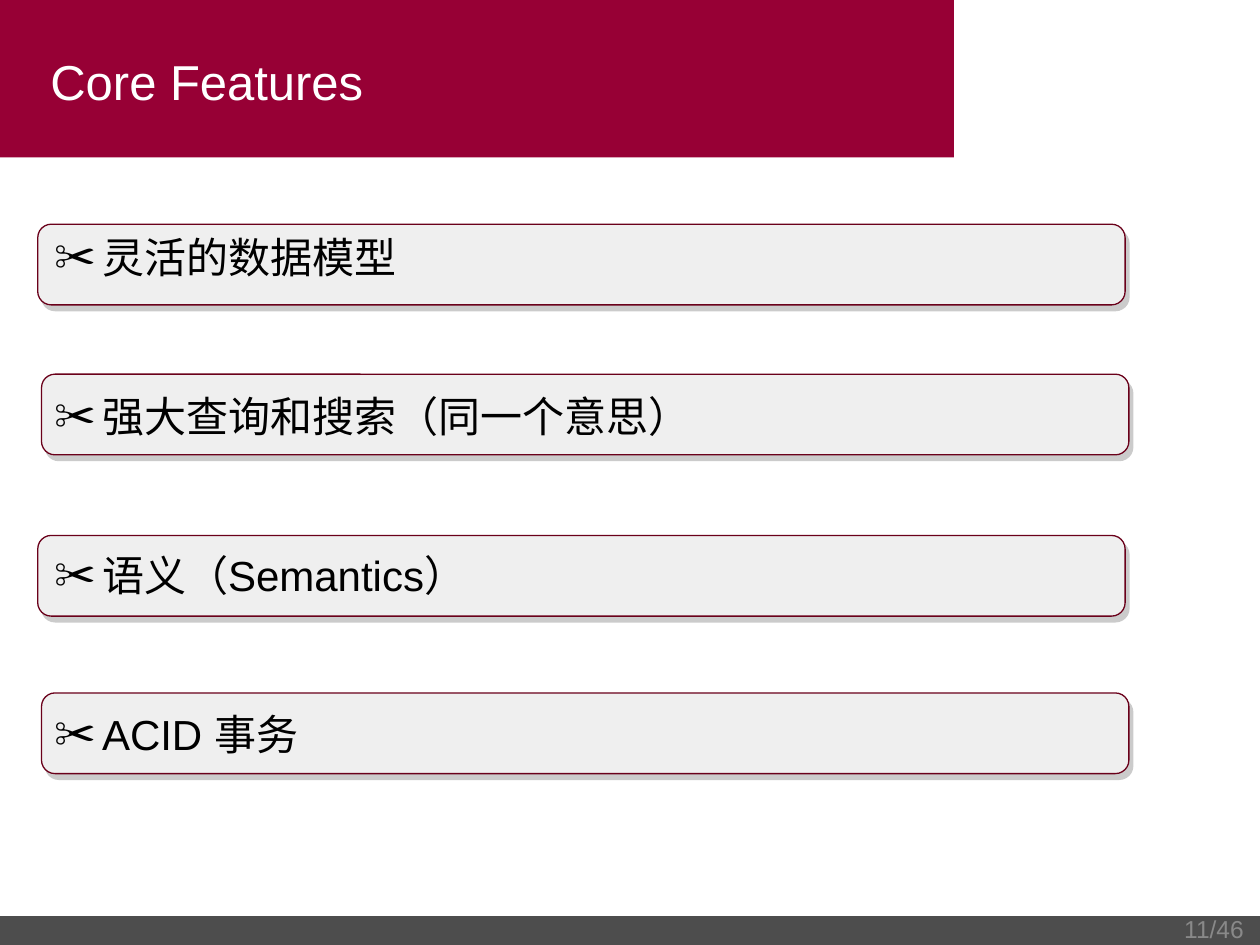
from lxml.etree import SubElement
from pptx import Presentation
from pptx.dml.color import RGBColor
from pptx.enum.shapes import MSO_CONNECTOR, MSO_SHAPE
from pptx.enum.text import MSO_ANCHOR, MSO_AUTO_SIZE, PP_ALIGN
from pptx.oxml.ns import qn
from pptx.util import Inches, Pt

COLOURS = {
    "banner": "970035", "footer": "4D4D4D", "panel": "EFEFEF",
    "outline": "6A001A", "shadow": "999999", "number": "898989",
    "white": "FFFFFF", "black": "000000",
}
FEATURES = ["灵活的数据模型", "强大查询和搜索（同一个意思）", "语义（Semantics）", "ACID 事务"]
PANELS = [(0.3, 1.78), (0.33, 2.97), (0.3, 4.25), (0.33, 5.5)]


def colour(name):
    return RGBColor.from_string(COLOURS[name])


def place(shape, left, top, width, height):
    shape.left, shape.top = Inches(left), Inches(top)
    shape.width, shape.height = Inches(width), Inches(height)


def style_font(para, size, name):
    para.font.name = "Arial"
    para.font.size = Pt(size)
    para.font.color.rgb = colour(name)


def add_block(page, kind, left, top, width, height, fill):
    block = page.shapes.add_shape(
        kind, Inches(left), Inches(top), Inches(width), Inches(height))
    block.shadow.inherit = False
    block.fill.solid()
    block.fill.fore_color.rgb = colour(fill)
    block.line.fill.background()
    return block


def add_banner_edge(page):
    edge = page.shapes.add_connector(
        MSO_CONNECTOR.STRAIGHT, Inches(7.58), 0, Inches(7.58), Inches(1.25))
    edge.line.color.rgb = colour("white")
    edge.line.width = Pt(1.5)
    SubElement(edge._element.spPr, qn("a:effectLst"))


def add_panel(page, left, top):
    """Rounded panel with a hard, half-transparent shadow."""
    panel = add_block(page, MSO_SHAPE.ROUNDED_RECTANGLE, left, top, 8.63, 0.64, "panel")
    panel.adjustments[0] = 0.167
    panel.line.color.rgb = colour("outline")
    panel.line.width = Pt(0.75)
    effects = panel._element.spPr.find(qn("a:effectLst"))
    shadow = SubElement(effects, qn("a:outerShdw"), blurRad="0", dist=str(Pt(4)),
                        dir=str(56 * 60000), algn="ctr", rotWithShape="0")
    tint = SubElement(shadow, qn("a:srgbClr"), val=COLOURS["shadow"])
    SubElement(tint, qn("a:alpha"), val="49000")


def set_bullet(para, char):
    props = para._p.get_or_add_pPr()
    props.set("marL", str(Inches(0.38)))
    props.set("indent", str(-Inches(0.38)))
    tint = SubElement(props, qn("a:buClr"))
    SubElement(tint, qn("a:srgbClr"), val=COLOURS["black"])
    SubElement(props, qn("a:buFont"), typeface="Arial")
    SubElement(props, qn("a:buChar"), char=char)


def bring_to_front(page, shape):
    page.shapes._spTree.append(shape._element)


def fill_title(page, text):
    title = page.shapes.title
    place(title, 0.3, 0.14, 7.04, 1)
    frame = title.text_frame
    frame.text = text
    frame.auto_size = MSO_AUTO_SIZE.NONE
    frame.vertical_anchor = MSO_ANCHOR.MIDDLE
    para = frame.paragraphs[0]
    para.alignment = PP_ALIGN.LEFT
    style_font(para, 28, "white")
    bring_to_front(page, title)


def fill_features(page):
    body = page.placeholders[1]
    place(body, 0.33, 1.79, 9.08, 5.25)
    frame = body.text_frame
    frame.text = "\n".join(FEATURES)
    frame.auto_size = MSO_AUTO_SIZE.NONE
    frame.vertical_anchor = MSO_ANCHOR.TOP
    for index, para in enumerate(frame.paragraphs):
        set_bullet(para, "✂")
        para.space_before = Pt(62 if index else 0)
        style_font(para, 24, "black")
    bring_to_front(page, body)


def add_page_number(page, text):
    box = page.shapes.add_textbox(Inches(9.08), Inches(7.17), Inches(0.89), Inches(0.4))
    frame = box.text_frame
    frame.word_wrap = True
    frame.vertical_anchor = MSO_ANCHOR.MIDDLE
    frame.text = text
    para = frame.paragraphs[0]
    para.alignment = PP_ALIGN.RIGHT
    style_font(para, 14, "number")


def main():
    deck = Presentation()
    deck.slide_width, deck.slide_height = Inches(10), Inches(7.5)
    page = deck.slides.add_slide(deck.slide_layouts[1])
    add_block(page, MSO_SHAPE.RECTANGLE, 0, 0, 7.58, 1.25, "banner")
    add_banner_edge(page)
    add_block(page, MSO_SHAPE.RECTANGLE, 0, 7.27, 10, 0.25, "footer")
    for left, top in PANELS:
        add_panel(page, left, top)
    fill_title(page, "Core Features")
    fill_features(page)
    add_page_number(page, "11/46")
    deck.save("out.pptx")


if __name__ == "__main__":
    main()
